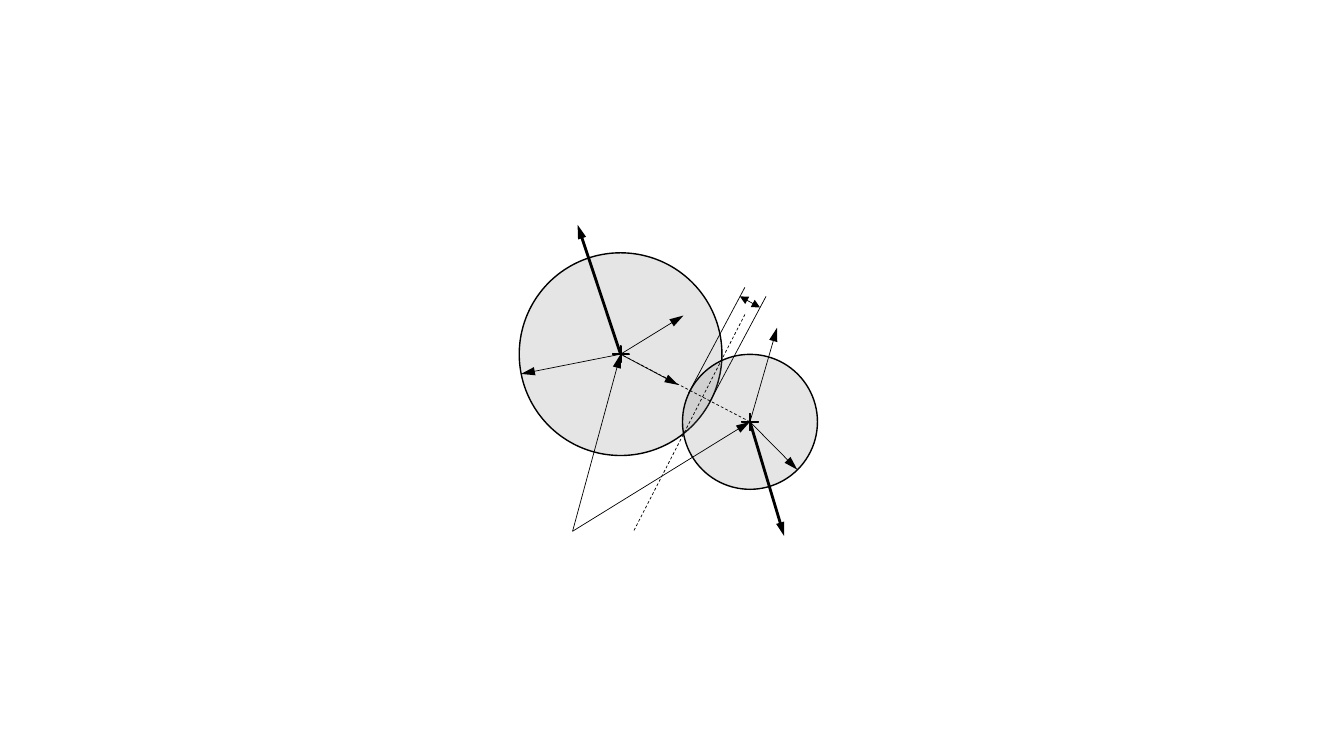
from lxml import etree
from pptx import Presentation
from pptx.dml.color import RGBColor
from pptx.enum.dml import MSO_LINE
from pptx.enum.shapes import MSO_CONNECTOR, MSO_SHAPE
from pptx.oxml.ns import qn
from pptx.util import Pt

CIRCLE, CROSS = MSO_SHAPE.OVAL, MSO_SHAPE.CROSS
STRAIGHT, DASH = MSO_CONNECTOR.STRAIGHT, MSO_LINE.DASH
COLORS = {"ink": "000000", "particle": "767171"}


class Diagram:
    """Holds the line style and the slide that is drawn on."""

    thin, outline, bold = 0.5, 1, 2

    def __init__(self, slide):
        self.slide = slide

    def stroke(self, item, width, dash=None):
        item.line.color.rgb = RGBColor.from_string(COLORS["ink"])
        for key, value in {"width": Pt(width), "dash_style": dash}.items():
            setattr(item.line, key, value)

    def centred(self, kind, center, size):
        x, y = center
        item = self.slide.shapes.add_shape(
            kind, Pt(x - size / 2), Pt(y - size / 2), Pt(size), Pt(size))
        item.shadow.inherit = False
        self.stroke(item, self.outline)
        return item

    def particle(self, center, radius):
        disc = self.centred(CIRCLE, center, 2 * radius)
        disc.fill.solid()
        disc.fill.fore_color.rgb = RGBColor.from_string(COLORS["particle"])
        tint = disc.fill._xPr.find(qn("a:solidFill"))[0]
        etree.SubElement(tint, qn("a:alpha"), val="18000")

    def center_mark(self, center):
        mark = self.centred(CROSS, center, 12)
        mark.adjustments[0] = 0.48
        mark.fill.background()

    def segment(self, start, end, width=thin, dash=None, heads=(), length="lg"):
        ends = [Pt(v) for v in (*start, *end)]
        item = self.slide.shapes.add_connector(STRAIGHT, *ends)
        self.stroke(item, width, dash)
        for head in heads:
            etree.SubElement(item.line._ln, qn(f"a:{head}"),
                             type="triangle", w="med", len=length)
        etree.SubElement(item._element.spPr, qn("a:effectLst"))

    def arrow(self, start, end, width=thin):
        self.segment(start, end, width, heads=("tailEnd",))


def main():
    prs = Presentation()
    prs.slide_width, prs.slide_height = Pt(960), Pt(540)
    diagram = Diagram(prs.slides.add_slide(prs.slide_layouts[6]))

    origin = (409, 379.5)
    center_i, center_j = (443.3, 253), (535.7, 301.3)

    # Overlapping particles and their centres
    diagram.particle(center_i, 72.4)
    diagram.particle(center_j, 48.2)
    for center in (center_i, center_j):
        diagram.center_mark(center)

    # Position vectors and radii
    for center in (center_i, center_j):
        diagram.arrow(origin, center)
    diagram.arrow(center_i, (372.2, 267.1))
    diagram.arrow(center_j, (569.5, 335.5))

    # Overlap width between two parallel tangents
    for x, y in ((506.9, 287.3), (491.8, 280.8)):
        diagram.segment((x, y), (x + 40.3, y - 75.6))
    diagram.segment((528.5, 211.7), (542.9, 219.6),
                    heads=("headEnd", "tailEnd"), length="med")

    # Line of centres and unit normal
    diagram.segment(center_j, center_i, dash=DASH)
    diagram.arrow(center_i, (484.6, 275))

    # Velocities
    diagram.arrow(center_j, (555.1, 234))
    diagram.arrow(center_i, (488.2, 225.4))

    # Contact forces
    diagram.arrow(center_j, (560.2, 383), diagram.bold)
    diagram.arrow(center_i, (412.6, 160.6), diagram.bold)

    # Contact plane
    diagram.segment((532.1, 224.6), (452.2, 380.2), dash=DASH)

    prs.save("out.pptx")


if __name__ == "__main__":
    main()
